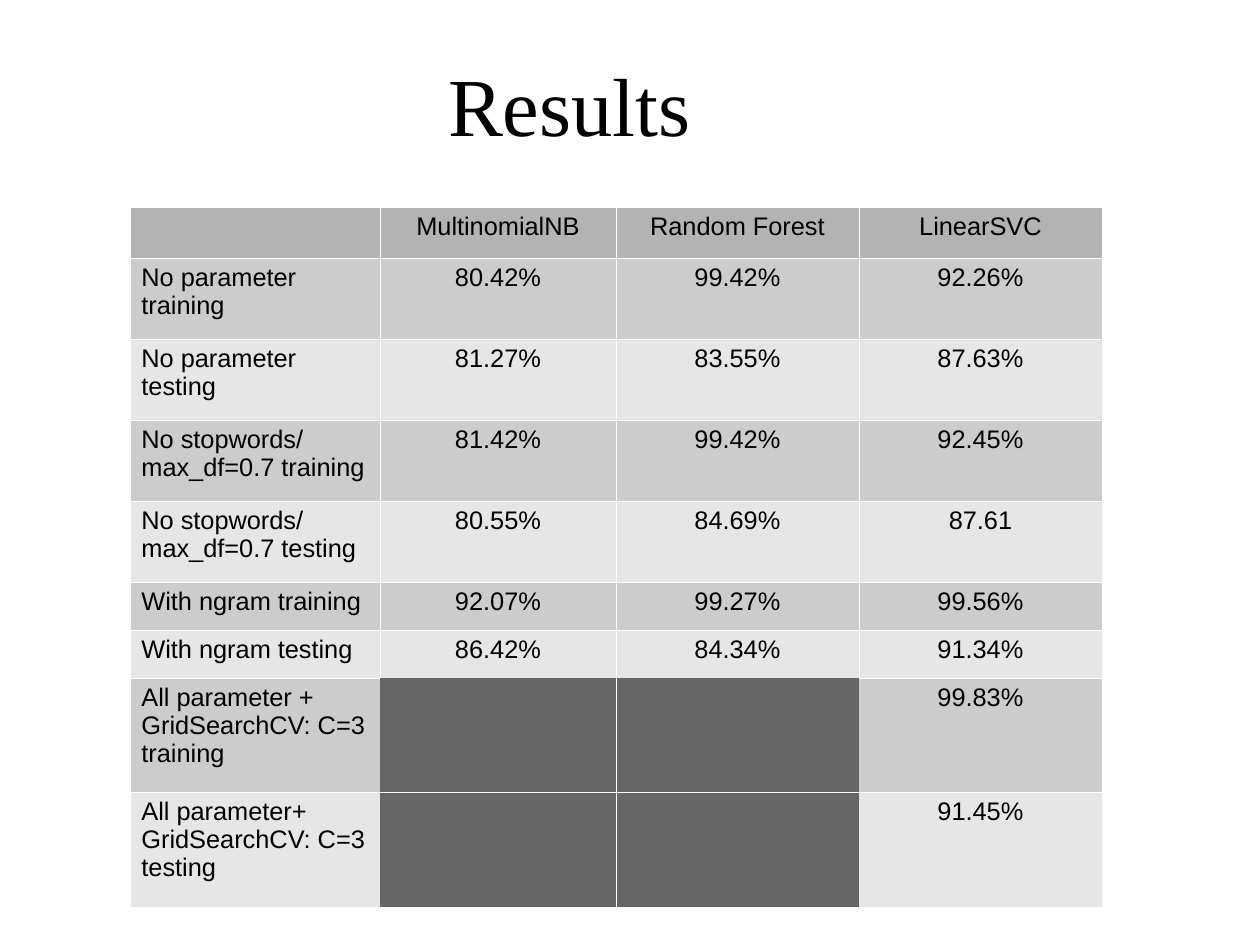
from dataclasses import dataclass

from lxml import etree
from pptx import Presentation
from pptx.dml.color import RGBColor
from pptx.enum.text import MSO_ANCHOR, PP_ALIGN
from pptx.oxml.ns import qn
from pptx.util import Pt

CENTER, LEFT = PP_ALIGN.CENTER, PP_ALIGN.LEFT
MIDDLE = MSO_ANCHOR.MIDDLE
EMU_PER_PX = 8000


@dataclass(frozen=True)
class Theme:
    title_font: str = "Times New Roman"
    table_font: str = "Arial"
    title_size: float = 51.9
    table_size: float = 16
    text: str = "000000"
    header: str = "B3B3B3"
    training: str = "CCCCCC"
    testing: str = "E6E6E6"
    unused: str = "666666"
    border: str = "FFFFFF"
    border_width: float = 0.06


THEME = Theme()

COLUMN_WIDTHS = [250, 236, 243, 243]
ROW_HEIGHTS = [51, 81, 81, 81, 81, 48, 48, 114, 115]
# An unused cell is None
RESULTS = [
    ["", "MultinomialNB", "Random Forest", "LinearSVC"],
    ["No parameter training", "80.42%", "99.42%", "92.26%"],
    ["No parameter testing", "81.27%", "83.55%", "87.63%"],
    ["No stopwords/\nmax_df=0.7 training", "81.42%", "99.42%", "92.45%"],
    ["No stopwords/ max_df=0.7 testing", "80.55%", "84.69%", "87.61"],
    ["With ngram training", "92.07%", "99.27%", "99.56%"],
    ["With ngram testing", "86.42%", "84.34%", "91.34%"],
    ["All parameter + GridSearchCV: C=3\ntraining", None, None, "99.83%"],
    ["All parameter+ GridSearchCV: C=3\ntesting", None, None, "91.45%"],
]
# Border tag with the row and column step to the neighbour on that side
SIDES = [("a:lnL", 0, -1), ("a:lnR", 0, 1), ("a:lnT", -1, 0), ("a:lnB", 1, 0)]


def px(length):
    return length * EMU_PER_PX


def write_text(text_frame, text, font_name, size, alignment):
    text_frame.text = text
    for paragraph in text_frame.paragraphs:
        paragraph.alignment = alignment
        for run in paragraph.runs:
            run.font.name = font_name
            run.font.size = Pt(size)
            run.font.color.rgb = RGBColor.from_string(THEME.text)


def is_unused(row, column):
    return RESULTS[row][column] is None


def cell_fill(row, column):
    if is_unused(row, column):
        return THEME.unused
    if row == 0:
        return THEME.header
    return THEME.training if row % 2 else THEME.testing


def has_border(row, column, row_step, column_step):
    """Lines are left out where a used cell meets an unused one."""
    next_row, next_column = row + row_step, column + column_step
    if not (0 <= next_row < len(RESULTS) and 0 <= next_column < len(COLUMN_WIDTHS)):
        return True
    return is_unused(row, column) == is_unused(next_row, next_column)


def set_borders(cell, row, column):
    properties = cell._tc.get_or_add_tcPr()
    for index, (tag, row_step, column_step) in enumerate(SIDES):
        line = etree.Element(qn(tag), w=str(int(Pt(THEME.border_width))))
        if has_border(row, column, row_step, column_step):
            fill = etree.SubElement(line, qn("a:solidFill"))
            etree.SubElement(fill, qn("a:srgbClr"), val=THEME.border)
        else:
            etree.SubElement(line, qn("a:noFill"))
        properties.insert(index, line)


def add_title(slide, left, top, width, height):
    shape = slide.shapes.add_textbox(px(left), px(top), px(width), px(height))
    text_frame = shape.text_frame
    text_frame.word_wrap = True
    text_frame.vertical_anchor = MIDDLE
    text_frame.margin_left = text_frame.margin_right = 0
    text_frame.margin_top = text_frame.margin_bottom = 0
    write_text(text_frame, "Results", THEME.title_font, THEME.title_size, CENTER)


def add_results_table(slide, left, top):
    frame = slide.shapes.add_table(
        len(RESULTS), len(COLUMN_WIDTHS), px(left), px(top),
        px(sum(COLUMN_WIDTHS)), px(sum(ROW_HEIGHTS)))
    table = frame.table
    table.first_row = table.horz_banding = False
    for column, width in zip(table.columns, COLUMN_WIDTHS):
        column.width = px(width)
    for row, height in zip(table.rows, ROW_HEIGHTS):
        row.height = px(height)

    for row, values in enumerate(RESULTS):
        for column, value in enumerate(values):
            cell = table.cell(row, column)
            cell.fill.solid()
            cell.fill.fore_color.rgb = RGBColor.from_string(cell_fill(row, column))
            set_borders(cell, row, column)
            write_text(cell.text_frame, value or "", THEME.table_font,
                       THEME.table_size, CENTER if column else LEFT)


def main():
    presentation = Presentation()
    presentation.slide_width = px(1260)
    presentation.slide_height = px(945)
    slide = presentation.slides.add_slide(presentation.slide_layouts[6])
    add_title(slide, 63, 35, 1013, 138)
    add_results_table(slide, 130, 207)
    presentation.save("out.pptx")


if __name__ == "__main__":
    main()
